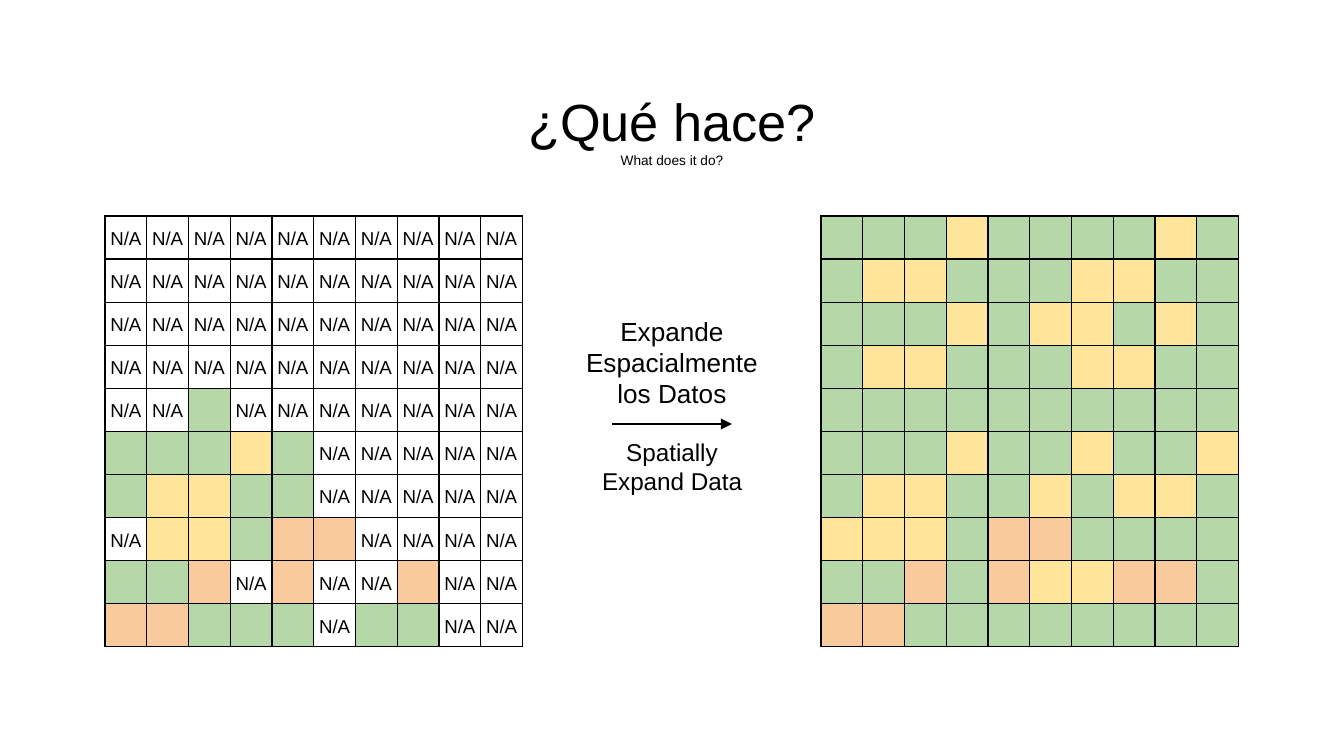
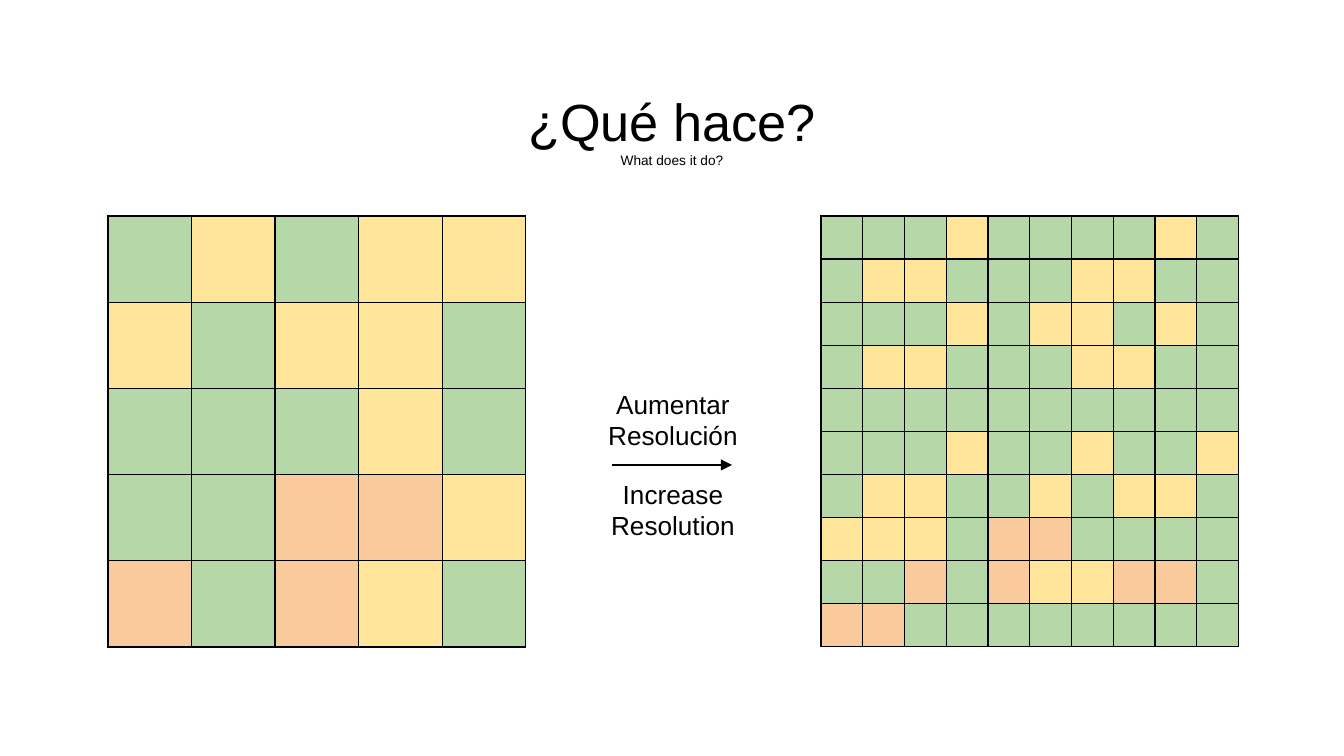
from lxml import etree
from pptx import Presentation
from pptx.dml.color import RGBColor
from pptx.enum.shapes import MSO_CONNECTOR
from pptx.enum.text import MSO_ANCHOR, MSO_AUTO_SIZE, PP_ALIGN
from pptx.oxml import parse_xml
from pptx.oxml.ns import nsdecls, qn
from pptx.util import Pt

BLACK = RGBColor(0x00, 0x00, 0x00)
GREEN = RGBColor(0xB6, 0xD7, 0xA8)
YELLOW = RGBColor(0xFF, 0xE5, 0x99)
ORANGE = RGBColor(0xF9, 0xCB, 0x9C)
FILLS = {"G": GREEN, "Y": YELLOW, "O": ORANGE}
FONT = "Arial"

HEADING = [("¿Qué hace?", 28), ("What does it do?", 7.3)]

SPARSE = [
    "..........",
    "..........",
    "..........",
    "..........",
    "..G.......",
    "GGGYG.....",
    "GYYGG.....",
    ".YYGOO....",
    "GGO.O..O..",
    "OOGGG.GG..",
]
COARSE = ["GYGYY", "YGYYG", "GGGYG", "GGOOY", "OGOYG"]
FULL = [
    "GGGYGGGGYG",
    "GYYGGGYYGG",
    "GGGYGYYGYG",
    "GYYGGGYYGG",
    "GGGGGGGGGG",
    "GGGYGGYGGY",
    "GYYGGYGYYG",
    "YYYGOOGGGG",
    "GGOGOYYOOG",
    "OOGGGGGGGG",
]

SLIDES = [
    {"grid": SPARSE, "grid_x": 105, "label_x": 572, "arrow_y": 424,
     "above": ("Expande Espacialmente los Datos", 14, 122),
     "below": ("Spatially Expand Data", 13, 86)},
    {"grid": COARSE, "grid_x": 108, "label_x": 573, "arrow_y": 465,
     "above": ("Aumentar Resolución", 14, 90),
     "below": ("Increase Resolution", 14, 90)},
]

GRID_Y, GRID_W, GRID_H = 216, 418, 431
FULL_X = 821
LABEL_W = 200
ARROW_X1, ARROW_X2 = 612, 732
INSET = 13


def px(n):
    return round(n * 914400 / 134.4)


def add_run(p, text, size):
    p.alignment = PP_ALIGN.CENTER
    r = p.add_run()
    r.text = text
    r.font.name = FONT
    r.font.size = Pt(size)
    r.font.color.rgb = BLACK


def set_insets(tf):
    tf.margin_left = tf.margin_right = px(INSET)
    tf.margin_top = tf.margin_bottom = px(INSET)
    tf.word_wrap = True


def add_heading(s):
    sp = s.shapes.title
    sp.left, sp.top, sp.width, sp.height = px(26), px(70), px(1292), px(117)
    tf = sp.text_frame
    set_insets(tf)
    tf.auto_size = MSO_AUTO_SIZE.NONE
    tf.vertical_anchor = MSO_ANCHOR.MIDDLE
    for i, (text, size) in enumerate(HEADING):
        p = tf.add_paragraph() if i else tf.paragraphs[0]
        add_run(p, text, size)


def add_borders(cell):
    tc_pr = cell._tc.get_or_add_tcPr()
    for i, side in enumerate(("lnL", "lnR", "lnT", "lnB")):
        tc_pr.insert(i, parse_xml(
            f'<a:{side} {nsdecls("a")} w="{Pt(0.75)}"><a:solidFill>'
            f'<a:srgbClr val="{BLACK}"/></a:solidFill></a:{side}>'))


def fill_cell(cell, code):
    cell.margin_left = cell.margin_right = px(4)
    cell.margin_top = cell.margin_bottom = px(3)
    cell.vertical_anchor = MSO_ANCHOR.MIDDLE
    p = cell.text_frame.paragraphs[0]
    if code in FILLS:
        cell.fill.solid()
        cell.fill.fore_color.rgb = FILLS[code]
        p._p.get_or_add_endParaRPr().set("sz", "1000")
    else:
        cell.fill.background()
        p.line_spacing = 1.15
        add_run(p, "N/A", 10)
    add_borders(cell)


def add_grid(s, codes, x):
    n = len(codes)
    table = s.shapes.add_table(n, n, px(x), px(GRID_Y), px(GRID_W), px(GRID_H)).table
    table.first_row = table.horz_banding = False
    for i, row in enumerate(codes):
        table.rows[i].height = px(GRID_H / n)
        table.columns[i].width = px(GRID_W / n)
        for j, code in enumerate(row):
            fill_cell(table.cell(i, j), code)


def add_arrow(s, y):
    line = s.shapes.add_connector(
        MSO_CONNECTOR.STRAIGHT, px(ARROW_X1), px(y), px(ARROW_X2), px(y))
    line.line.color.rgb = BLACK
    line.line.width = Pt(1.5)
    etree.SubElement(line.line._get_or_add_ln(), qn("a:tailEnd"), type="triangle")
    etree.SubElement(line._element.spPr, qn("a:effectLst"))


def add_label(s, x, y, text, size, height):
    tf = s.shapes.add_textbox(px(x), px(y), px(LABEL_W), px(height)).text_frame
    set_insets(tf)
    tf.auto_size = MSO_AUTO_SIZE.SHAPE_TO_FIT_TEXT
    add_run(tf.paragraphs[0], text, size)


def main():
    prs = Presentation()
    prs.slide_width, prs.slide_height = px(1344), px(756)
    for content in SLIDES:
        s = prs.slides.add_slide(prs.slide_layouts[5])
        add_heading(s)
        add_grid(s, content["grid"], content["grid_x"])
        add_grid(s, FULL, FULL_X)
        x, y = content["label_x"], content["arrow_y"]
        add_arrow(s, y)
        add_label(s, x, y - content["above"][2], *content["above"])
        add_label(s, x, y, *content["below"])
    prs.save("out.pptx")


if __name__ == "__main__":
    main()
